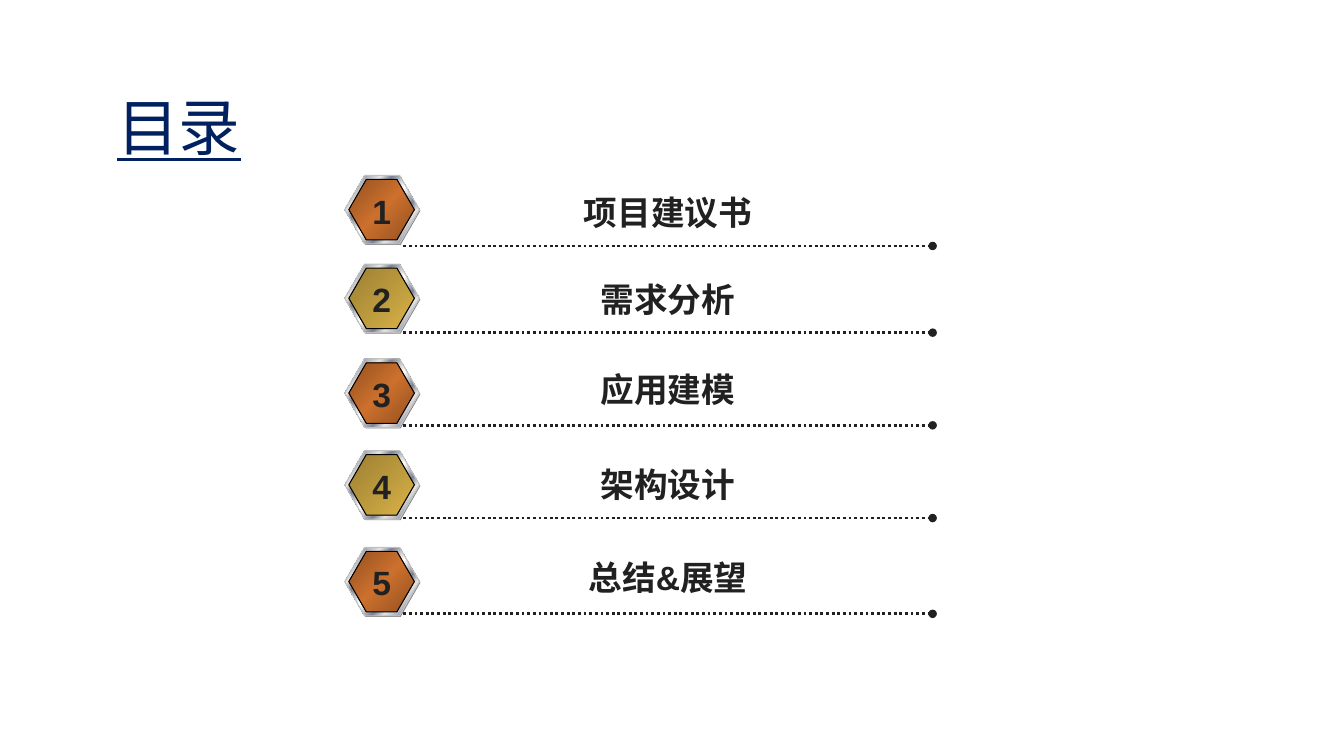
from dataclasses import dataclass

from pptx import Presentation
from pptx.dml.color import RGBColor
from pptx.enum.dml import MSO_LINE
from pptx.enum.shapes import MSO_CONNECTOR, MSO_SHAPE
from pptx.enum.text import MSO_ANCHOR, MSO_AUTO_SIZE, PP_ALIGN
from pptx.oxml import parse_xml
from pptx.oxml.ns import nsdecls, qn
from pptx.util import Inches, Pt


@dataclass(frozen=True)
class Theme:
    navy: str = "002060"
    ink: str = "212121"
    shade: str = "808080"
    edge: str = "C0C0C0"
    black: str = "000000"
    head: int = 44
    body: int = 24
    serif: str = "Times New Roman"
    sans: str = "Arial"
    steel: tuple = ((0, "E6E6E6"), (8, "7D8496"), (26, "E6E6E6"), (34, "7D8496"),
                    (46, "E6E6E6"), (50, "FFFFFF"), (54, "E6E6E6"), (66, "7D8496"),
                    (74, "E6E6E6"), (92, "7D8496"), (100, "E6E6E6"))
    copper: tuple = ((0, "925020"), (50, "CC702D"), (100, "925020"))
    gold: tuple = ((0, "9B7F33"), (100, "D9B247"))


THEME = Theme()
COLS, ROWS = 1333, 750  # fine grid over the whole slide
CELL = Inches(0.01)

# Label, top of badge, then drops from there to the label and the rule
ITEMS = [
    ("项目建议书", 174, 11, 70),
    ("需求分析", 262, 10, 68),
    ("应用建模", 356, 5, 66),
    ("架构设计", 447, 8, 67),
    ("总结&展望", 543, 5, 66),
]


def grid(*cells):
    return [n * CELL for n in cells]


def write(shapes, text, box, size=THEME.body, font=THEME.sans, color=THEME.ink,
          bold=False, line=False, wrap=True, grow=True, anchor=MSO_ANCHOR.TOP):
    frame = shapes.add_textbox(*grid(*box)).text_frame
    frame.word_wrap = wrap
    frame.auto_size = MSO_AUTO_SIZE.SHAPE_TO_FIT_TEXT if grow else MSO_AUTO_SIZE.NONE
    frame.vertical_anchor = anchor
    para = frame.paragraphs[0]
    para.alignment = PP_ALIGN.CENTER
    run = para.add_run()
    run.text = text
    face = run.font
    face.name, face.size, face.bold, face.underline = font, Pt(size), bold, line
    face.color.rgb = RGBColor.from_string(color)


def blend(shape, stops):
    shape.fill.background()
    marks = "".join(f'<a:gs pos="{pos * 1000}"><a:srgbClr val="{tone}"/></a:gs>'
                    for pos, tone in stops)
    fill = parse_xml(f'<a:gradFill {nsdecls("a")} rotWithShape="1"><a:gsLst>{marks}'
                     '</a:gsLst><a:lin ang="2700000" scaled="1"/></a:gradFill>')
    props = shape.element.spPr
    props.replace(props.find(qn("a:noFill")), fill)


def hexa(shapes, box, fill, edge=None):
    shape = shapes.add_shape(MSO_SHAPE.HEXAGON, *grid(*box))
    shape.shadow.inherit = False
    shape.adjustments[0], shape.adjustments[1] = 0.289, 1.155
    if isinstance(fill, str):
        shape.fill.solid()
        shape.fill.fore_color.rgb = RGBColor.from_string(fill)
    else:
        blend(shape, fill)
    if edge:
        shape.line.color.rgb = RGBColor.from_string(edge)
        shape.line.width = Pt(0.75)
    else:
        shape.line.fill.background()


def rule(shapes, left, right, y):
    link = shapes.add_connector(MSO_CONNECTOR.STRAIGHT, *grid(left, y, right, y))
    link.line.color.rgb = RGBColor.from_string(THEME.ink)
    link.line.width = Pt(2)
    link.line.dash_style = MSO_LINE.ROUND_DOT
    link.line._get_or_add_ln().append(
        parse_xml(f'<a:tailEnd {nsdecls("a")} type="oval"/>'))
    link.element.spPr.append(parse_xml(f'<a:effectLst {nsdecls("a")}/>'))


def badge(shapes, box, mark, fill):
    x, y, w, h = box
    hexa(shapes, (x + 1, y + 1, w, h), THEME.shade)
    hexa(shapes, box, THEME.steel, THEME.edge)
    hexa(shapes, (x + 4, y + 4, w - 9, h - 8), fill, THEME.black)
    write(shapes, mark, (x + 17, y + 10, 39, 50), bold=True, wrap=False)


def entry(slide, box, mark, label, drop, base, fill):
    x, y, w, h = box
    shapes = slide.shapes.add_group_shape().shapes
    rule(shapes, x + 58, x + w, y + base)
    write(shapes, label, (x + 108, y + drop, w - 158, 50), bold=True)
    badge(shapes, (x, y, 74, h), mark, fill)


def title(slide, box):
    write(slide.shapes, "目录", box, size=THEME.head, font=THEME.serif,
          color=THEME.navy, line=True, grow=False, anchor=MSO_ANCHOR.MIDDLE)


def main():
    deck = Presentation()
    deck.slide_width, deck.slide_height = grid(COLS, ROWS)
    slide = deck.slides.add_slide(deck.slide_layouts[6])
    title(slide, (97, 74, 161, 101))
    # Badges alternate between copper and gold
    for i, (label, top, drop, base) in enumerate(ITEMS):
        fill = THEME.gold if i % 2 else THEME.copper
        entry(slide, (342, top, 583, 68), str(i + 1), label, drop, base, fill)
    deck.save("out.pptx")


if __name__ == "__main__":
    main()
